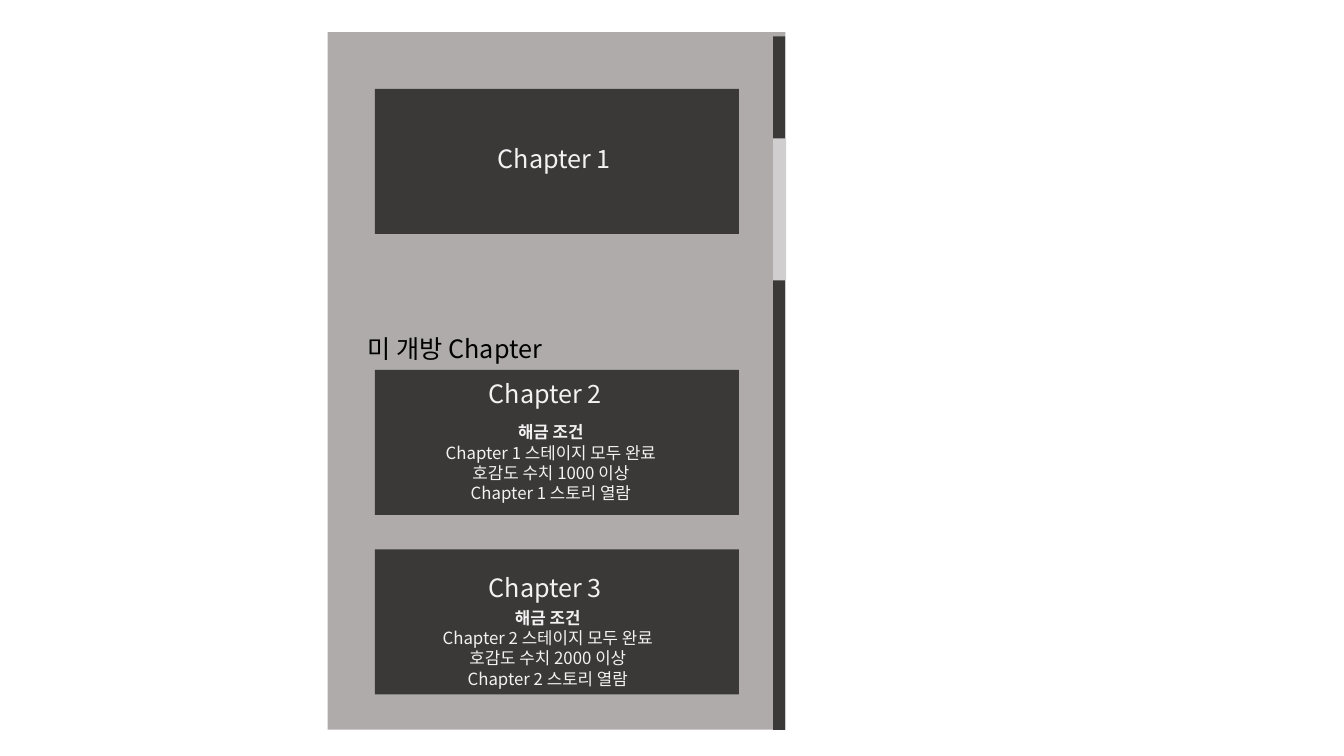
from lxml.etree import SubElement
from pptx import Presentation
from pptx.dml.color import RGBColor
from pptx.enum.shapes import MSO_SHAPE
from pptx.enum.text import MSO_AUTO_SIZE, PP_ALIGN
from pptx.oxml.ns import qn
from pptx.util import Pt


def color(value):
    return RGBColor.from_string(value)


class ChapterScreen:
    FONT = "Noto Sans CJK KR"
    PANEL, DARK, THUMB = "AFABAB", "3B3838", "D0CECE"
    BLACK, LIGHT = "000000", "F2F2F2"

    def __init__(self, slide):
        self.slide = slide

    def block(self, left, top, width, height, fill):
        shape = self.slide.shapes.add_shape(
            MSO_SHAPE.RECTANGLE, Pt(left), Pt(top), Pt(width), Pt(height))
        shape.shadow.inherit = False
        shape.fill.solid()
        shape.fill.fore_color.rgb = color(fill)
        shape.line.fill.background()

    def text(self, left, top, width, height, lines, size, ink, align=PP_ALIGN.LEFT):
        shape = self.slide.shapes.add_textbox(Pt(left), Pt(top), Pt(width), Pt(height))
        frame = shape.text_frame
        frame.word_wrap = True
        frame.auto_size = MSO_AUTO_SIZE.SHAPE_TO_FIT_TEXT
        frame.text = "\n".join(lines)
        for paragraph in frame.paragraphs:
            paragraph.alignment = align
            font = paragraph.font
            font.name, font.size = self.FONT, Pt(size)
            font.color.rgb = color(ink)
            # Hangul uses the East Asian typeface
            for properties in paragraph._p.iter(qn("a:defRPr")):
                SubElement(properties, qn("a:ea"), typeface=self.FONT)
        return frame

    def heading(self, left, top, words, ink=LIGHT):
        self.text(left, top, 189.4, 29, [words], 18, ink)

    def conditions(self, left, top, chapter, affinity):
        lines = ["해금 조건", f"Chapter {chapter} 스테이지 모두 완료",
                 f"호감도 수치 {affinity} 이상", f"Chapter {chapter} 스토리 열람"]
        frame = self.text(left, top, 182.2, 65.5, lines, 12, self.LIGHT, PP_ALIGN.CENTER)
        frame.paragraphs[0].font.bold = True


def main():
    presentation = Presentation()
    presentation.slide_width, presentation.slide_height = Pt(960), Pt(540)
    screen = ChapterScreen(presentation.slides.add_slide(presentation.slide_layouts[6]))

    # Panel and chapter cards
    screen.block(234, 23, 327, 498.2, screen.PANEL)
    for top in (63.5, 264.2, 392.4):
        screen.block(267.8, top, 260, 103.7, screen.DARK)

    # Scroll bar
    screen.block(552.2, 26, 8.6, 495.3, screen.DARK)
    screen.block(552.2, 98.8, 9.4, 101.5, screen.THUMB)

    # Headings
    screen.heading(255.6, 234.7, "미 개방 Chapter", screen.BLACK)
    for number, left, top in ((1, 348.5, 98.6), (2, 342, 266.4), (3, 342, 405.4)):
        screen.heading(left, top, f"Chapter {number}")

    # Unlock conditions
    screen.conditions(302.4, 298, 1, 1000)
    screen.conditions(300.2, 430.6, 2, 2000)

    presentation.save("out.pptx")


if __name__ == "__main__":
    main()
